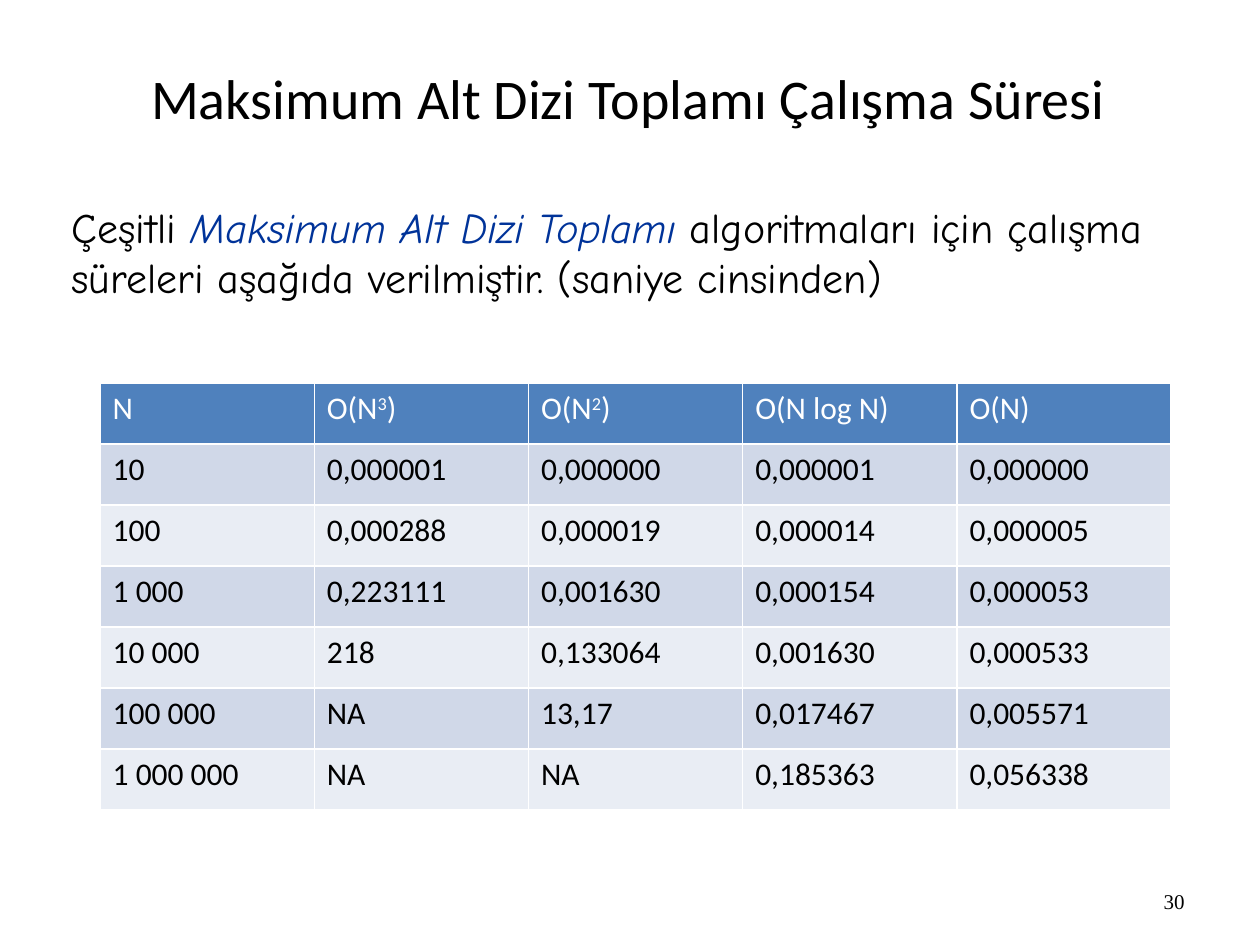
from pptx import Presentation
from pptx.dml import color
from pptx.enum import text
from pptx.util import Pt

COLORS = {
    "black": "000000",
    "white": "FFFFFF",
    "emphasis": "003399",
    "header": "4F81BD",
    "odd_row": "D0D8E8",
    "even_row": "E9EDF4",
}


def write(paragraph, content, size=18, font="Calibri", hue="black", italic=False, baseline=None):
    run = paragraph.add_run()
    run.text = content
    run.font.size = Pt(size)
    run.font.name = font
    run.font.bold = False
    run.font.italic = italic
    run.font.color.rgb = color.RGBColor.from_string(COLORS[hue])
    if baseline:
        run.font._element.set("baseline", str(baseline))


def add_line(left, top, width, height, align, anchor):
    frame = slide.shapes.add_textbox(Pt(left), Pt(top), Pt(width), Pt(height)).text_frame
    frame.word_wrap = True
    frame.vertical_anchor = anchor
    frame.paragraphs[0].alignment = align
    return frame.paragraphs[0]


deck = Presentation()
deck.slide_width, deck.slide_height = Pt(720), Pt(540)
slide = deck.slides.add_slide(deck.slide_layouts[6])

header = [["O(N", "3", ")"], ["O(N", "2", ")"], ["O(N log N)"], ["O(N)"]]
timings = [
    ["10", "0,000001", "0,000000", "0,000001", "0,000000"],
    ["100", "0,000288", "0,000019", "0,000014", "0,000005"],
    ["1 000", "0,223111", "0,001630", "0,000154", "0,000053"],
    ["10 000", "218", "0,133064", "0,001630", "0,000533"],
    ["100 000", "NA", "13,17", "0,017467", "0,005571"],
    ["1 000 000", "NA", "NA", "0,185363", "0,056338"],
]
rows = [[["N"]] + header] + [[[value] for value in row] for row in timings]

running_times = slide.shapes.add_table(
    len(rows), len(rows[0]), Pt(57.2), Pt(219), Pt(612), Pt(244)
).table
for column in running_times.columns:
    column.width = Pt(122.4)
for r, row in enumerate(rows):
    running_times.rows[r].height = Pt(34.86)
    band = "header" if r == 0 else "odd_row" if r % 2 else "even_row"
    for c, parts in enumerate(row):
        cell = running_times.cell(r, c)
        cell.fill.solid()
        cell.fill.fore_color.rgb = color.RGBColor.from_string(COLORS[band])
        for i, part in enumerate(parts):
            write(cell.text_frame.paragraphs[0], part,
                  hue="black" if r else "white", baseline=30000 if i == 1 else None)

page_number = add_line(516, 500.4, 168, 28.8, text.PP_ALIGN.RIGHT, text.MSO_ANCHOR.MIDDLE)
write(page_number, "30", size=12, font="Times New Roman")

title = add_line(36.7, 25.2, 645, 60.5, text.PP_ALIGN.CENTER, text.MSO_ANCHOR.MIDDLE)
write(title, "Maksimum Alt Dizi Toplamı Çalışma Süresi", size=32)

intro = add_line(33.8, 111.6, 648, 65.5, text.PP_ALIGN.LEFT, text.MSO_ANCHOR.TOP)
for content, style in [
    ("Çeşitli ", {}),
    ("Maksimum Alt Dizi Toplamı ", {"hue": "emphasis", "italic": True}),
    ("algoritmaları için çalışma süreleri aşağıda verilmiştir. (saniye cinsinden)", {}),
]:
    write(intro, content, size=24, font="Comic Neue", **style)

deck.save("out.pptx")
